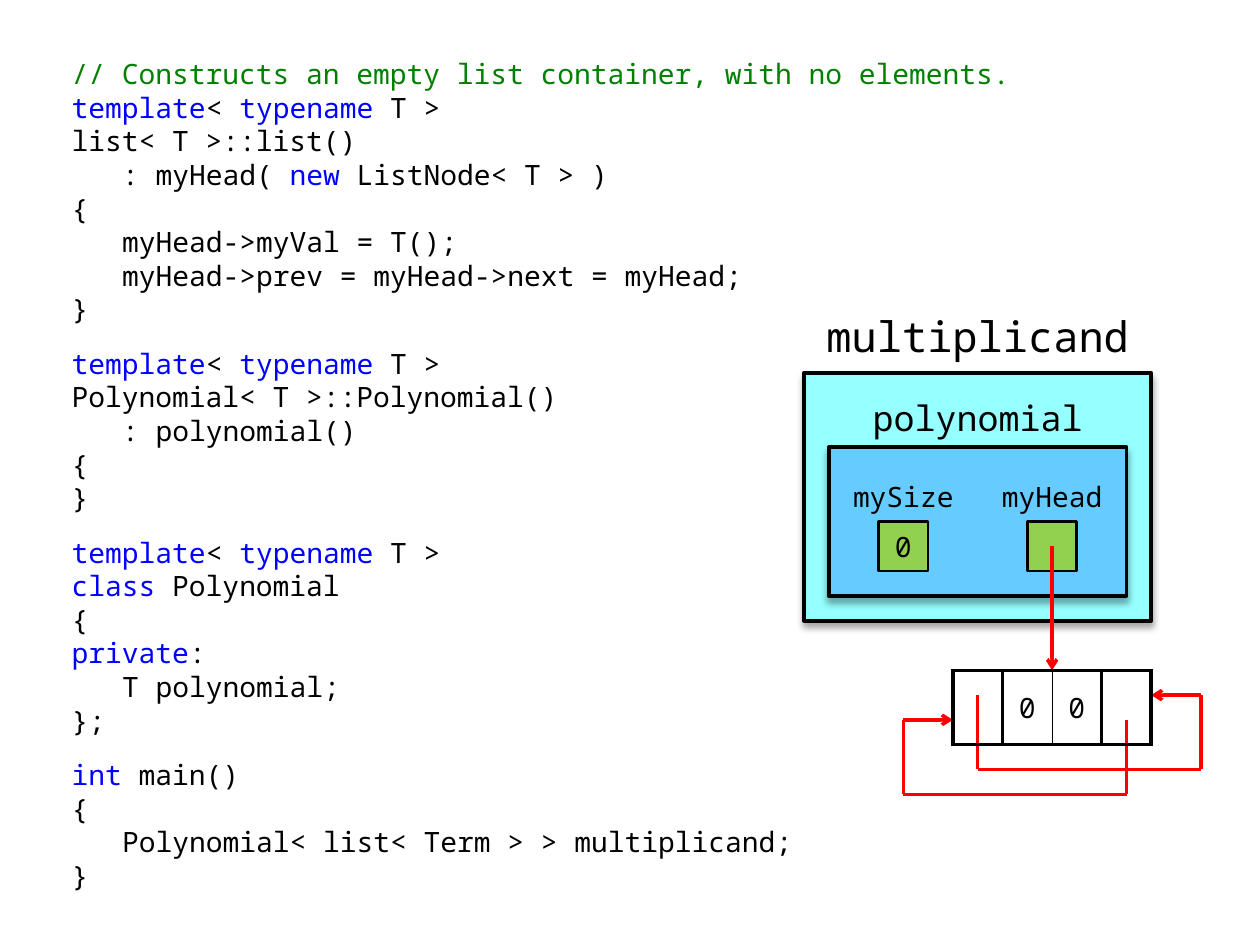
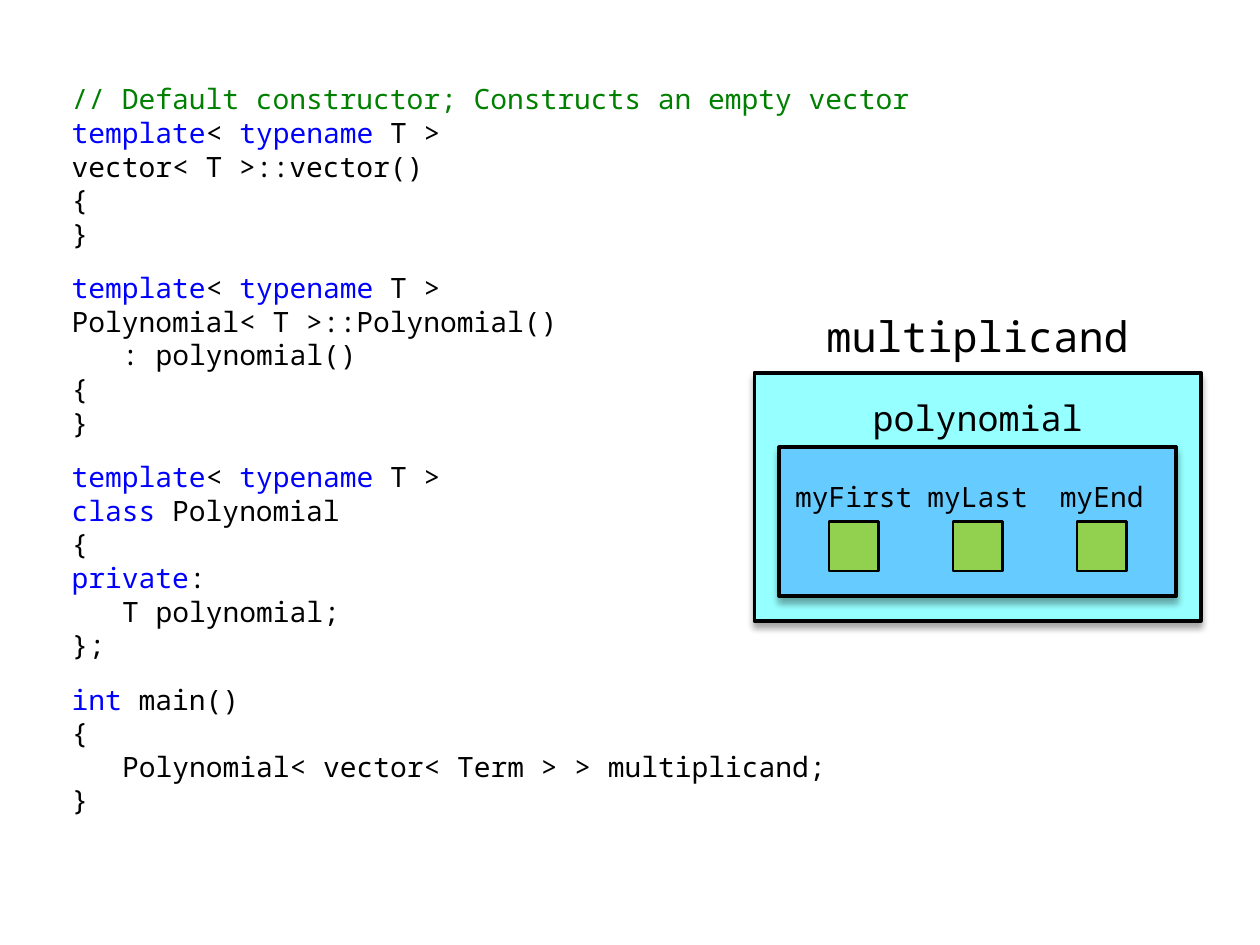
"""Builds two slides that pair C++ constructors with the objects they create."""
from dataclasses import dataclass
from itertools import groupby, pairwise

from lxml.etree import SubElement
from pptx import Presentation
from pptx.dml.color import RGBColor
from pptx.enum.shapes import MSO_CONNECTOR, MSO_SHAPE
from pptx.enum.text import MSO_ANCHOR, MSO_AUTO_SIZE, PP_ALIGN
from pptx.oxml.ns import qn
from pptx.util import Pt

COLORS = {
    "text": "000000",
    "comment": "008000",
    "keyword": "0000FF",
    "object": "96FFFF",
    "container": "66CCFF",
    "member": "92D050",
    "pointer": "FF0000",
}
FONT = "Noto Sans Mono"
KEYWORDS = {"template", "typename", "new", "class", "private", "int"}
CODE_SIZE = 16
CODE_INDENT = "   "
INDENT_WIDTH = 28.8
STEP = 14.17
DIAGRAM_CENTER = 558.7
DIAGRAM_TOP = 213
FRAME_FORMAT = {
    "word_wrap": True,
    "auto_size": MSO_AUTO_SIZE.NONE,
    "vertical_anchor": MSO_ANCHOR.MIDDLE,
    "margin_left": 0,
    "margin_right": 0,
    "margin_top": 0,
    "margin_bottom": 0,
}
CODE_FORMAT = {
    "word_wrap": True,
    "auto_size": MSO_AUTO_SIZE.NONE,
    "vertical_anchor": MSO_ANCHOR.TOP,
}

LIST_CONSTRUCTOR = """// Constructs an empty list container, with no elements.
template< typename T >
list< T >::list()
   : myHead( new ListNode< T > )
{
   myHead->myVal = T();
   myHead->prev = myHead->next = myHead;
}"""
VECTOR_CONSTRUCTOR = """// Default constructor; Constructs an empty vector
template< typename T >
vector< T >::vector()
{
}"""
POLYNOMIAL_CONSTRUCTOR = """template< typename T >
Polynomial< T >::Polynomial()
   : polynomial()
{
}"""
POLYNOMIAL_CLASS = """template< typename T >
class Polynomial
{
private:
   T polynomial;
};"""
MAIN_FUNCTION = """int main()
{
   Polynomial< CONTAINER< Term > > multiplicand;
}"""


@dataclass(frozen=True)
class Member:
    name: str
    column: int
    value: str = ""


@dataclass(frozen=True)
class Pointer:
    stops: tuple[tuple[int, int], ...]


@dataclass(frozen=True)
class Example:
    container: str
    constructor: str
    code_area: tuple[float, float, float, float]
    half_width: int
    members: tuple[Member, ...]
    node_links: tuple[Pointer, ...] = ()
    head_link: Pointer | None = None
    node_cells: tuple[str, ...] = ()


EXAMPLES = (
    Example(
        "list", LIST_CONSTRUCTOR, (33.8, 28.8, 554, 482), 7,
        (Member("mySize", -4, "0"), Member("myHead", 2)),
        (
            Pointer(((6, 14), (6, 17), (-3, 17), (-3, 14), (-1, 14))),
            Pointer(((0, 13), (0, 16), (9, 16), (9, 13), (7, 13))),
        ),
        Pointer(((3, 7), (3, 12))),
        ("", "0", "0", ""),
    ),
    Example(
        "vector", VECTOR_CONSTRUCTOR, (33.8, 43.2, 510.5, 468), 9,
        (Member("myFirst", -6), Member("myLast", -1), Member("myEnd", 4)),
    ),
)


def rgb(role: str) -> RGBColor:
    return RGBColor.from_string(COLORS[role])


def apply_format(target, values: dict) -> None:
    for attribute, value in values.items():
        setattr(target, attribute, value)


def grid_point(column: float, row: float) -> tuple[Pt, Pt]:
    return Pt(DIAGRAM_CENTER + column * STEP), Pt(DIAGRAM_TOP + row * STEP)


def grid_area(column: float, row: float, columns: float, rows: float) -> tuple:
    return *grid_point(column, row), Pt(columns * STEP), Pt(rows * STEP)


def add_run(paragraph, text: str, size: float, role: str = "text") -> None:
    run = paragraph.add_run()
    run.text = text
    apply_format(run.font, {"name": FONT, "size": Pt(size)})
    run.font.color.rgb = rgb(role)


def write_centered(frame, text: str, size: float) -> None:
    apply_format(frame, FRAME_FORMAT)
    frame.paragraphs[0].alignment = PP_ALIGN.CENTER
    add_run(frame.paragraphs[0], text, size)


def color_tokens(line: str) -> list[tuple[str, str]]:
    if line.startswith("//"):
        return [("comment", line)]
    words = ("".join(letters) for _, letters in groupby(line, str.isalpha))
    roles = groupby(words, lambda word: "keyword" if word in KEYWORDS else "text")
    return [(role, "".join(parts)) for role, parts in roles]


def write_code(slide, example: Example) -> None:
    code = slide.placeholders[1]
    left, top, width, height = map(Pt, example.code_area)
    apply_format(code, {"left": left, "top": top, "width": width, "height": height})
    frame = code.text_frame
    apply_format(frame, CODE_FORMAT)
    blocks = (
        example.constructor,
        POLYNOMIAL_CONSTRUCTOR,
        POLYNOMIAL_CLASS,
        MAIN_FUNCTION.replace("CONTAINER", example.container),
    )
    for block_index, block in enumerate(blocks):
        for line_index, line in enumerate(block.splitlines()):
            is_first = block_index == line_index == 0
            paragraph = frame.paragraphs[0] if is_first else frame.add_paragraph()
            opens_block = line_index == 0 and block_index > 0
            apply_format(paragraph, {
                "space_before": Pt(12 if opens_block else 0),
                "line_spacing": Pt(19.2),
                "alignment": PP_ALIGN.LEFT,
            })
            properties = paragraph._p.get_or_add_pPr()
            indent = INDENT_WIDTH if line.startswith(CODE_INDENT) else 0
            properties.set("marL", str(Pt(indent)))
            properties.set("indent", "0")
            SubElement(properties, qn("a:buNone"))
            for role, text in color_tokens(line.strip()):
                add_run(paragraph, text, CODE_SIZE, role)


def add_caption(slide, area: tuple, text: str, size: float, top_margin: float = 0) -> None:
    frame = slide.shapes.add_textbox(*area).text_frame
    write_centered(frame, text, size)
    frame.margin_top = Pt(top_margin)


def add_box(slide, area: tuple, preset: MSO_SHAPE, role: str, line_width: float):
    box = slide.shapes.add_shape(preset, *area)
    box.shadow.inherit = False
    box.fill.solid()
    box.fill.fore_color.rgb = rgb(role)
    box.line.color.rgb = rgb("text")
    box.line.width = Pt(line_width)
    return box


def add_raised_box(slide, area: tuple, role: str) -> None:
    box = add_box(slide, area, MSO_SHAPE.FLOWCHART_PROCESS, role, 2.25)
    effects = box.element.spPr.find(qn("a:effectLst"))
    shadow = SubElement(
        effects, qn("a:outerShdw"), blurRad=str(Pt(4)), dist=str(Pt(3)),
        dir="5400000", rotWithShape="0",
    )
    color = SubElement(shadow, qn("a:srgbClr"), val=COLORS["text"])
    SubElement(color, qn("a:alpha"), val="35000")


def draw_pointer(slide, pointer: Pointer) -> None:
    for start, end in pairwise(pointer.stops):
        segment = slide.shapes.add_connector(
            MSO_CONNECTOR.STRAIGHT, *grid_point(*start), *grid_point(*end)
        )
        segment.line.color.rgb = rgb("pointer")
        segment.line.width = Pt(2)
        properties = segment.element.spPr
        if end == pointer.stops[-1]:
            SubElement(properties.find(qn("a:ln")), qn("a:tailEnd"), type="arrow")
        SubElement(properties, qn("a:effectLst"))


def draw_member(slide, member: Member) -> None:
    add_caption(slide, grid_area(member.column - 2, 4, 6, 2), member.name, CODE_SIZE)
    field = add_box(
        slide, grid_area(member.column, 6, 2, 2), MSO_SHAPE.RECTANGLE, "member", 1.5
    )
    if member.value:
        write_centered(field.text_frame, member.value, CODE_SIZE)


def set_borders(cell, widths: dict[str, float]) -> None:
    properties = cell._tc.get_or_add_tcPr()
    for side, width in widths.items():
        border = SubElement(properties, qn(f"a:{side}"), w=str(Pt(width)))
        fill = SubElement(border, qn("a:solidFill"))
        SubElement(fill, qn("a:srgbClr"), val=COLORS["text"])


def draw_node(slide, values: tuple[str, ...]) -> None:
    count = len(values)
    node = slide.shapes.add_table(1, count, *grid_area(-1, 12, 2 * count, 3)).table
    apply_format(node, {"first_row": False, "horz_banding": False})
    for index, value in enumerate(values):
        cell = node.cell(0, index)
        set_borders(cell, {
            "lnL": 0.5 if index == 2 else 2.25,
            "lnR": 0.5 if index == 1 else 2.25,
            "lnT": 2.25,
            "lnB": 2.25,
        })
        cell.fill.background()
        cell.vertical_anchor = MSO_ANCHOR.MIDDLE
        apply_format(cell, {"margin_left": Pt(4), "margin_right": Pt(4)})
        if value:
            paragraph = cell.text_frame.paragraphs[0]
            paragraph.alignment = PP_ALIGN.CENTER
            add_run(paragraph, value, CODE_SIZE)


def draw_object(slide, example: Example) -> None:
    half = example.half_width
    for link in example.node_links:
        draw_pointer(slide, link)
    add_raised_box(slide, grid_area(-half, 0, 2 * half, 10), "object")
    add_raised_box(slide, grid_area(1 - half, 3, 2 * half - 2, 6), "container")
    add_caption(slide, grid_area(-7, -3, 14, 3), "multiplicand", 24)
    add_caption(slide, grid_area(-5, 0, 10, 3), "polynomial", 20, 8.6)
    for member in example.members:
        draw_member(slide, member)
    if example.head_link:
        draw_pointer(slide, example.head_link)
    if example.node_cells:
        draw_node(slide, example.node_cells)


def main() -> None:
    deck = Presentation()
    deck.slide_width, deck.slide_height = Pt(720), Pt(540)
    for example in EXAMPLES:
        slide = deck.slides.add_slide(deck.slide_layouts[1])
        title = slide.shapes.title.element
        title.getparent().remove(title)
        write_code(slide, example)
        draw_object(slide, example)
    deck.save("out.pptx")


if __name__ == "__main__":
    main()
